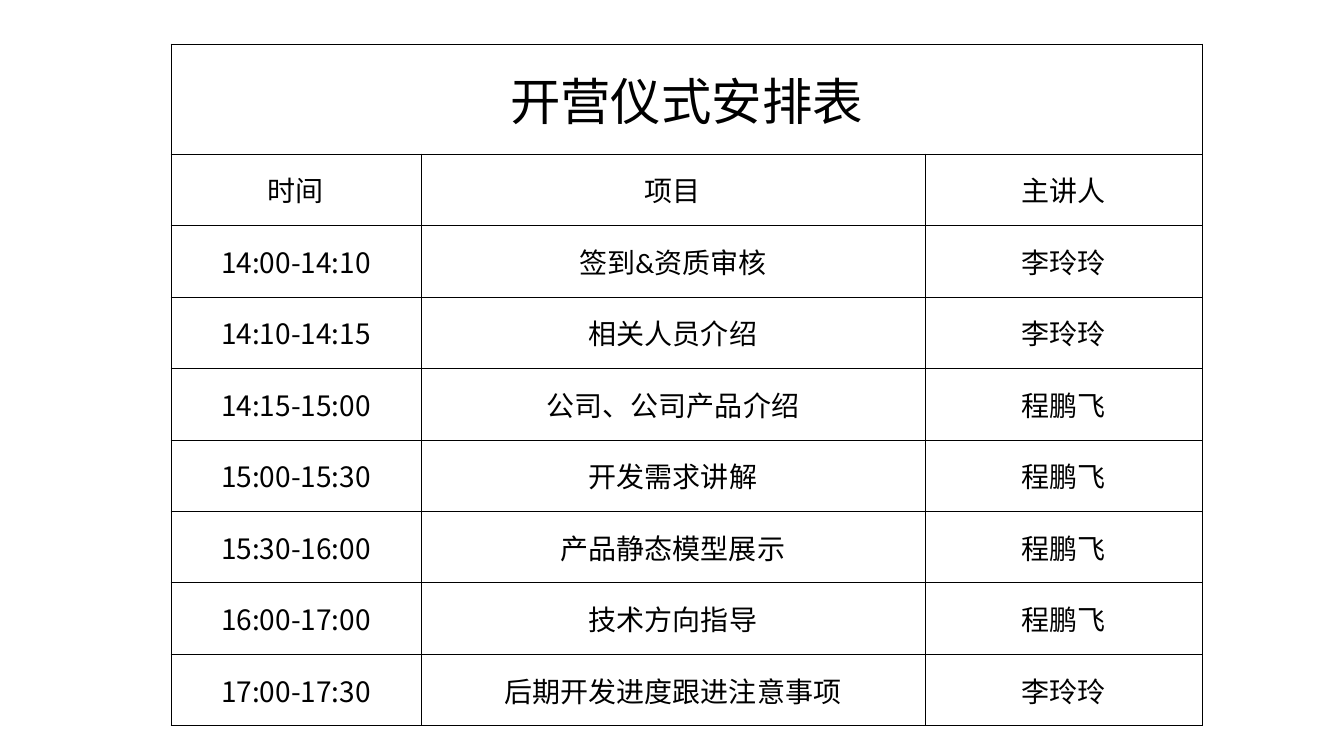
from lxml import etree
from pptx import Presentation
from pptx.dml.color import RGBColor
from pptx.enum.text import MSO_ANCHOR, PP_ALIGN
from pptx.oxml.ns import qn
from pptx.util import Emu, Pt

CENTER = PP_ALIGN.CENTER
MIDDLE = MSO_ANCHOR.MIDDLE
PX = 914400 / 100.8
COLORS = {"ink": "000000", "paper": "FFFFFF"}
LATIN, CJK = "Calibri", "Noto Sans CJK SC"
BORDER_WIDTH = Pt(0.5)

TITLE = "开营仪式安排表"
HEADINGS = ("时间", "项目", "主讲人")
SESSIONS = [
    ("14:00-14:10", "签到&资质审核", "李玲玲"),
    ("14:10-14:15", "相关人员介绍", "李玲玲"),
    ("14:15-15:00", "公司、公司产品介绍", "程鹏飞"),
    ("15:00-15:30", "开发需求讲解", "程鹏飞"),
    ("15:30-16:00", "产品静态模型展示", "程鹏飞"),
    ("16:00-17:00", "技术方向指导", "程鹏飞"),
    ("17:00-17:30", "后期开发进度跟进注意事项", "李玲玲"),
]
COLUMN_WIDTHS = (250, 504, 277)
TITLE_HEIGHT = 110


def px(length):
    """Turn pixels into EMU."""
    return Emu(round(length * PX))


def draw_borders(cell):
    """Rule all four sides of a cell."""
    properties = cell._tc.get_or_add_tcPr()
    for position, side in enumerate(("a:lnL", "a:lnR", "a:lnT", "a:lnB")):
        line = etree.Element(qn(side), w=str(BORDER_WIDTH))
        fill = etree.SubElement(line, qn("a:solidFill"))
        etree.SubElement(fill, qn("a:srgbClr"), val=COLORS["ink"])
        properties.insert(position, line)


def write_cell(cell, text, size, latin):
    """Write centred text into a cell."""
    cell.text = text
    cell.vertical_anchor = MIDDLE
    paragraph = cell.text_frame.paragraphs[0]
    paragraph.alignment = CENTER
    font = paragraph.runs[0].font
    font.size = Pt(size)
    font.name = latin
    font.color.rgb = RGBColor.from_string(COLORS["ink"])
    etree.SubElement(font._element, qn("a:ea"), typeface=CJK)


def add_schedule(slide, left, top, width, height):
    """Place the ceremony schedule in the given box."""
    entries = [HEADINGS, *SESSIONS]
    schedule = slide.shapes.add_table(
        len(entries) + 1, len(HEADINGS), px(left), px(top), px(width), px(height)
    ).table
    schedule.first_row = False
    schedule.horz_banding = False

    for column, share in zip(schedule.columns, COLUMN_WIDTHS):
        column.width = px(width * share / sum(COLUMN_WIDTHS))
    for row in schedule.rows:
        row.height = px((height - TITLE_HEIGHT) / len(entries))
    schedule.rows[0].height = px(TITLE_HEIGHT)

    for cell in schedule.iter_cells():
        cell.fill.solid()
        cell.fill.fore_color.rgb = RGBColor.from_string(COLORS["paper"])
        draw_borders(cell)

    schedule.cell(0, 0).merge(schedule.cell(0, len(HEADINGS) - 1))
    write_cell(schedule.cell(0, 0), TITLE, 36, LATIN)
    for row_index, entry in enumerate(entries, start=1):
        for column_index, text in enumerate(entry):
            is_time = row_index > 1 and column_index == 0
            write_cell(schedule.cell(row_index, column_index), text, 20,
                       CJK if is_time else LATIN)


def main():
    """Build and save the presentation."""
    presentation = Presentation()
    presentation.slide_width = px(1344)
    presentation.slide_height = px(756)
    slide = presentation.slides.add_slide(presentation.slide_layouts[6])
    add_schedule(slide, 171, 44, 1031, 682)
    presentation.save("out.pptx")


if __name__ == "__main__":
    main()
